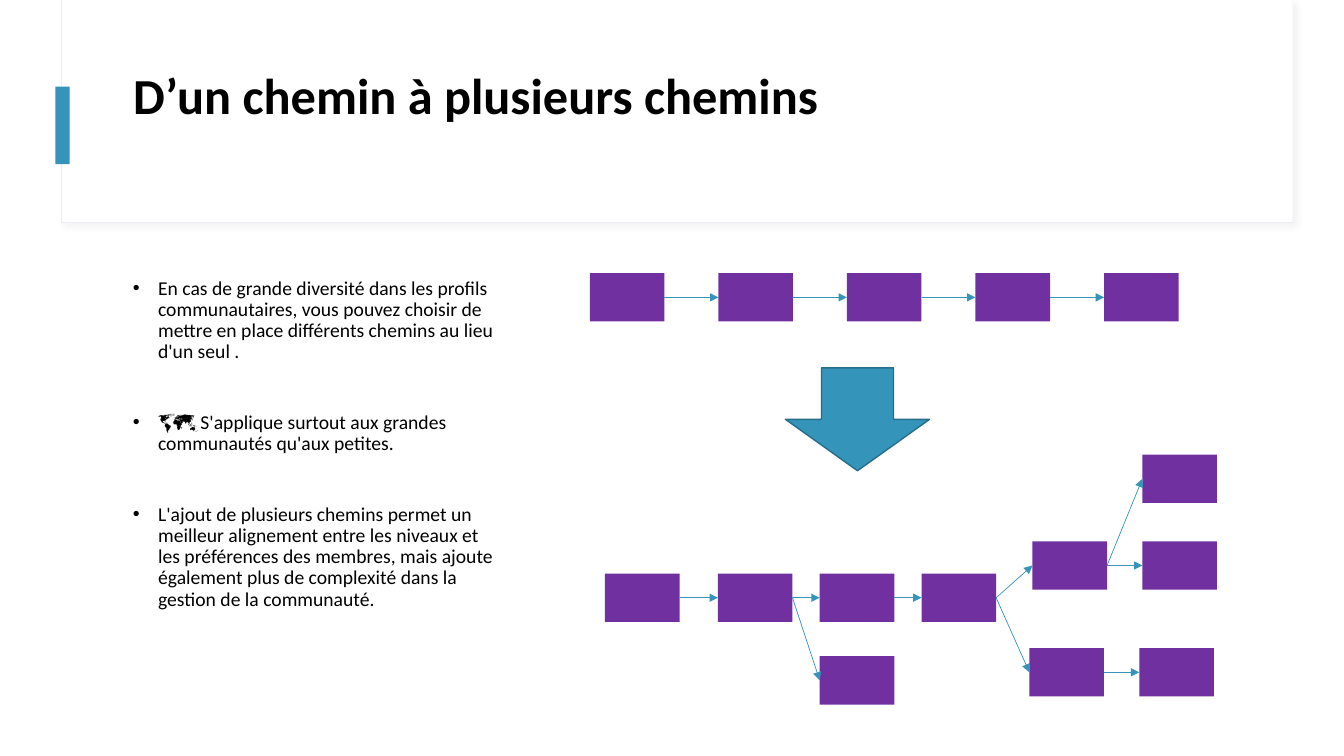
import pptx
import pptx.util
import pptx.dml.color
import pptx.enum.shapes
import pptx.enum.text
import pptx.oxml.ns
import lxml.etree

Inches = pptx.util.Inches
Pt = pptx.util.Pt
qn = pptx.oxml.ns.qn
SHAPES = pptx.enum.shapes.MSO_SHAPE

BLUE, PURPLE, WHITE = "3494BA", "7030A0", "FFFFFF"
STEP_WIDTH, STEP_HEIGHT = 0.74, 0.48
LEFT_SITE, RIGHT_SITE = 1, 3

deck = pptx.Presentation()
deck.slide_width, deck.slide_height = Inches(13.33), Inches(7.5)
slide = deck.slides.add_slide(deck.slide_layouts[5])


def add_shape(kind, left, top, width, height, fill, line=None, line_width=1):
    shape = slide.shapes.add_shape(
        kind, Inches(left), Inches(top), Inches(width), Inches(height))
    shape.shadow.inherit = False
    shape.fill.solid()
    shape.fill.fore_color.rgb = pptx.dml.color.RGBColor.from_string(fill)
    if line:
        shape.line.color.rgb = pptx.dml.color.RGBColor.from_string(line)
        shape.line.width = Pt(line_width)
    else:
        shape.line.fill.background()
    return shape


def write_text(para, text, size, bold=False, color="000000", bullet=False, before=0):
    """Fill one paragraph, with an optional hanging bullet."""
    para.alignment = pptx.enum.text.PP_ALIGN.LEFT
    para.line_spacing = 0.9
    para.space_before = Pt(before)
    if bullet:
        properties = para._p.get_or_add_pPr()
        properties.set("marL", str(Inches(0.25)))
        properties.set("indent", str(-Inches(0.25)))
        font = lxml.etree.SubElement(properties, qn("a:buFont"))
        font.set("typeface", "Arial")
        lxml.etree.SubElement(properties, qn("a:buChar")).set("char", "•")
    span = para.add_run()
    span.text = text
    span.font.name = "Calibri"
    span.font.size = Pt(size)
    span.font.bold = bold
    span.font.color.rgb = pptx.dml.color.RGBColor.from_string(color)


# Title card with its soft shadow and accent bar
card = add_shape(SHAPES.RECTANGLE, 0.61, 0, 12.21, 2.21, WHITE, "EBEEF2", 0.75)
effects = card._element.spPr.find(qn("a:effectLst"))
shadow = lxml.etree.SubElement(effects, qn("a:outerShdw"))
for name, value in (("blurRad", Pt(4)), ("dist", Pt(3)), ("dir", 45 * 60000)):
    shadow.set(name, str(value))
shadow_color = lxml.etree.SubElement(shadow, qn("a:srgbClr"))
shadow_color.set("val", "D9D9D9")
lxml.etree.SubElement(shadow_color, qn("a:alpha")).set("val", "30000")
add_shape(SHAPES.RECTANGLE, 0.62, 0, 12.2, 2.2, WHITE)
add_shape(SHAPES.RECTANGLE, 0.55, 0.86, 0.14, 0.77, BLUE)

# Title, brought in front of the card
title = slide.shapes.title
title.left, title.top = Inches(1.22), Inches(0.6)
title.width, title.height = Inches(11.12), Inches(1.29)
title.text_frame.vertical_anchor = pptx.enum.text.MSO_ANCHOR.MIDDLE
title.text_frame.margin_bottom = Inches(0.6)
write_text(title.text_frame.paragraphs[0], "D’un chemin à plusieurs chemins", 36, bold=True)
title._element.getparent().append(title._element)

# Bulleted explanation
points = [
    "En cas de grande diversité dans les profils communautaires, vous pouvez choisir "
    "de mettre en place différents chemins au lieu d'un seul .",
    "🗺️S'applique surtout aux grandes communautés qu'aux petites.",
    "L'ajout de plusieurs chemins permet un meilleur alignement entre les niveaux et "
    "les préférences des membres, mais ajoute également plus de complexité dans la "
    "gestion de la communauté.",
]
body = slide.shapes.add_textbox(Inches(1.22), Inches(2.71), Inches(3.87), Inches(4.04))
frame = body.text_frame
frame.word_wrap = True
for index, point in enumerate(points):
    para = frame.add_paragraph() if index else frame.paragraphs[0]
    write_text(para, point, 14, bullet=True, before=35.4 if index else 0)

# Steps of the single path (top) and of the branching paths (bottom)
positions = {f"single {i}": (5.85 + 1.275 * i, 2.71) for i in range(5)}
positions.update({
    "start": (6, 5.69),
    "second": (7.12, 5.69),
    "third": (8.13, 5.69),
    "fork": (9.14, 5.69),
    "upper": (10.24, 5.37),
    "upper end": (11.33, 5.37),
    "lower": (10.21, 6.43),
    "lower end": (11.3, 6.43),
    "top end": (11.33, 4.51),
    "side end": (8.13, 6.51),
})
steps = {
    name: add_shape(SHAPES.RECTANGLE, left, top, STEP_WIDTH, STEP_HEIGHT, PURPLE)
    for name, (left, top) in positions.items()
}

links = [(f"single {i}", f"single {i + 1}") for i in range(4)] + [
    ("start", "second"),
    ("second", "third"),
    ("second", "side end"),
    ("third", "fork"),
    ("fork", "upper"),
    ("fork", "lower"),
    ("lower", "lower end"),
    ("upper", "upper end"),
    ("upper", "top end"),
]
for source, target in links:
    arrow = slide.shapes.add_connector(
        pptx.enum.shapes.MSO_CONNECTOR.STRAIGHT, 0, 0, 0, 0)
    arrow.begin_connect(steps[source], RIGHT_SITE)
    arrow.end_connect(steps[target], LEFT_SITE)
    arrow.line.color.rgb = pptx.dml.color.RGBColor.from_string(BLUE)
    arrow.line.width = Pt(0.5)
    outline = arrow.line._get_or_add_ln()
    lxml.etree.SubElement(outline, qn("a:tailEnd")).set("type", "triangle")
    lxml.etree.SubElement(arrow._element.spPr, qn("a:effectLst"))

add_shape(SHAPES.DOWN_ARROW, 7.79, 3.65, 1.43, 1.02, BLUE, "266D8A")

deck.save("out.pptx")
